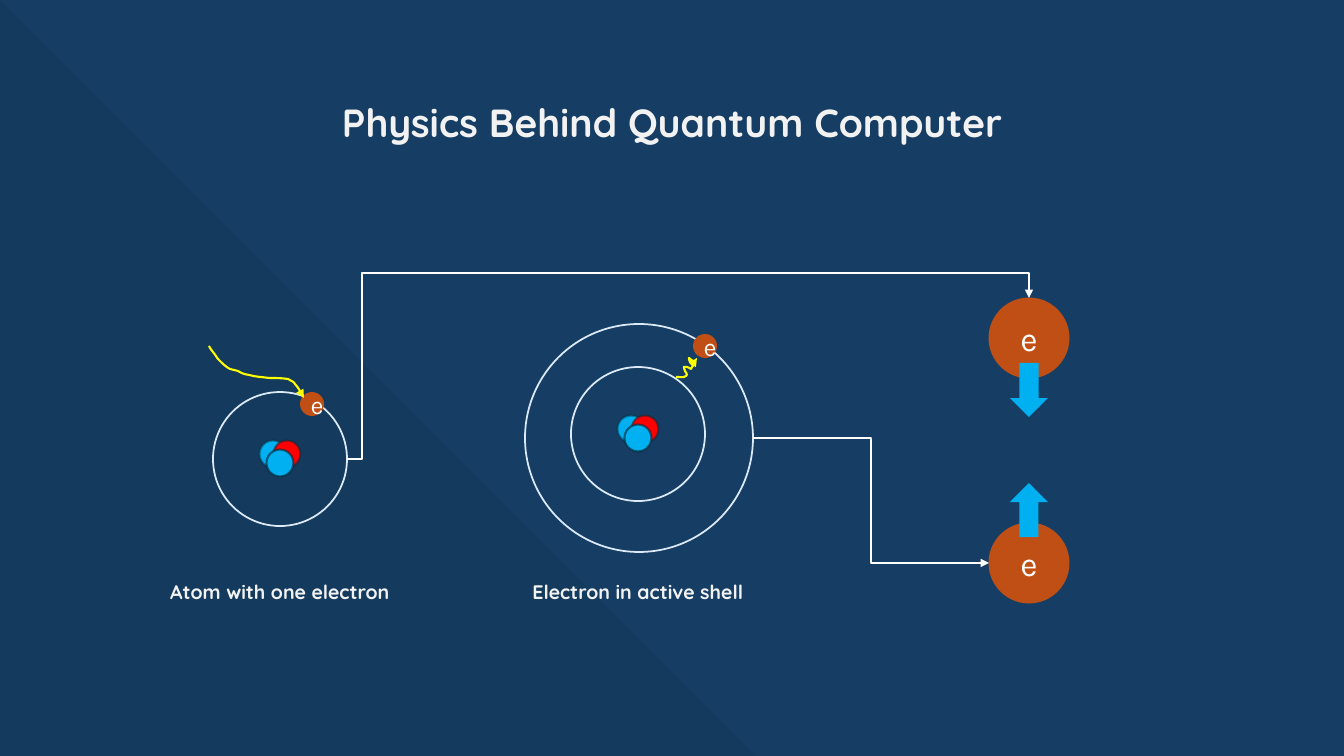
from lxml.etree import SubElement
from pptx import Presentation
from pptx.dml.color import RGBColor
from pptx.enum.shapes import MSO_CONNECTOR, MSO_SHAPE
from pptx.enum.text import MSO_ANCHOR, MSO_AUTO_SIZE, PP_ALIGN
from pptx.oxml.ns import qn
from pptx.util import Pt

W, H = 1344, 756
SCALE = 12192000 / W  # EMU per px

NAVY = RGBColor(0x16, 0x3E, 0x64)
SHADE = RGBColor(0x0B, 0x30, 0x41)
INK = RGBColor(0x09, 0x2A, 0x39)
PALE = RGBColor(0xDC, 0xEA, 0xF7)
OFF_WHITE = RGBColor(0xF2, 0xF2, 0xF2)
WHITE = RGBColor(0xFF, 0xFF, 0xFF)
BLUE = RGBColor(0x00, 0xB0, 0xF0)
RED = RGBColor(0xFF, 0x00, 0x00)
ORANGE = RGBColor(0xC0, 0x4F, 0x15)
YELLOW = RGBColor(0xFF, 0xFF, 0x00)

# Start point, then three points per Bezier segment
PHOTON_PATH = [
    (209, 346), (211, 350), (214, 353), (216, 356), (217, 358), (218, 359), (219, 360),
    (222, 363), (226, 367), (230, 369), (233, 370), (235, 370), (238, 371),
    (243, 374), (244, 374), (249, 375), (256, 377), (262, 377), (269, 378),
    (275, 378), (281, 378), (288, 379), (290, 381), (294, 381), (295, 384),
    (297, 386), (299, 389), (300, 391), (302, 396), (301, 394), (304, 398)]
JUMP_PATH = [
    (676, 377), (680, 377), (684, 378), (686, 376), (688, 375), (686, 372), (685, 371),
    (685, 369), (683, 367), (684, 367), (687, 366), (691, 369), (691, 369),
    (694, 363), (694, 368), (690, 362), (690, 361), (688, 358), (689, 358),
    (691, 358), (691, 361), (694, 362), (695, 363), (697, 364), (697, 363),
    (697, 363), (697, 358), (697, 358)]


def px(*values):
    return [round(v * SCALE) for v in values]


def set_alpha(shape, part, percent):
    color = shape._element.xpath(part + "/a:solidFill/a:srgbClr")[0]
    SubElement(color, qn("a:alpha")).set("val", str(percent * 1000))


def set_line(shape, color, width):
    shape.line.color.rgb = color
    shape.line.width = Pt(width)


def add_arrowhead(shape):
    ln = shape._element.xpath("./p:spPr/a:ln")[0]
    SubElement(ln, qn("a:tailEnd")).set("type", "triangle")


def write(shape, text, font, size, color, bold=False):
    tf = shape.text_frame
    tf.word_wrap = True
    p = tf.paragraphs[0]
    p.text = text
    p.alignment = PP_ALIGN.CENTER
    p.font.name, p.font.size, p.font.bold = font, Pt(size), bold
    p.font.color.rgb = color
    return tf


def add_filled(shapes, kind, x, y, w, h, color):
    sp = shapes.add_shape(kind, *px(x, y, w, h))
    sp.shadow.inherit = False
    sp.fill.solid()
    sp.fill.fore_color.rgb = color
    sp.line.fill.background()
    return sp


def add_disc(shapes, cx, cy, size, color):
    return add_filled(shapes, MSO_SHAPE.OVAL, cx - size / 2, cy - size / 2, size, size, color)


def add_orbit(shapes, cx, cy, size):
    sp = add_disc(shapes, cx, cy, size, PALE)
    sp.fill.background()
    set_line(sp, PALE, 1.25)


def add_nucleus(shapes, cx, cy):
    for dx, dy, color, alpha in ((-7, -5, BLUE, 43), (7, -5, RED, 50), (0, 4, BLUE, 64)):
        sp = add_disc(shapes, cx + dx, cy + dy, 27, color)
        set_line(sp, INK, 1.5)
        set_alpha(sp, "./p:spPr/a:ln", alpha)


def add_electron(shapes, cx, cy, size, font_size):
    sp = add_disc(shapes, cx, cy, size, ORANGE)
    tf = write(sp, "e", "Karla", font_size, WHITE)
    tf.vertical_anchor = MSO_ANCHOR.MIDDLE


def add_spin(shapes, cx, cy, arrow_cy, rotation):
    add_electron(shapes, cx, cy, 81, 24)
    arrow = add_filled(shapes, MSO_SHAPE.RIGHT_ARROW, cx - 27, arrow_cy - 19, 54, 38, BLUE)
    arrow.rotation = rotation


def add_curve(shapes, points):
    builder = shapes.build_freeform(*points[0], scale=SCALE)
    builder.add_line_segments(points[1:], close=False)
    sp = builder.convert_to_shape()
    sp.shadow.inherit = False
    sp.fill.background()
    set_line(sp, YELLOW, 1.5)
    add_arrowhead(sp)
    # Merge each three straight segments into one Bezier segment
    path = sp._element.xpath(".//a:path")[0]
    segments = path.findall(qn("a:lnTo"))
    for i in range(0, len(segments), 3):
        bezier = SubElement(path, qn("a:cubicBezTo"))
        for segment in segments[i:i + 3]:
            bezier.append(segment[0])
            path.remove(segment)


def add_elbow(shapes, start, end, preset, adjustments):
    cxn = shapes.add_connector(MSO_CONNECTOR.ELBOW, *px(*start, *end))
    set_line(cxn, WHITE, 1.5)
    add_arrowhead(cxn)
    SubElement(cxn._element.spPr, qn("a:effectLst"))
    geometry = cxn._element.xpath(".//a:prstGeom")[0]
    geometry.set("prst", preset)
    guides = geometry.find(qn("a:avLst"))
    for i, value in enumerate(adjustments, 1):
        guide = SubElement(guides, qn("a:gd"))
        guide.set("name", f"adj{i}")
        guide.set("fmla", f"val {value}")


def add_caption(shapes, cx, text):
    box = shapes.add_textbox(*px(cx - 129, 575, 258, 34))
    tf = write(box, text, "Quicksand", 14, OFF_WHITE, bold=True)
    tf.auto_size = MSO_AUTO_SIZE.SHAPE_TO_FIT_TEXT


def main():
    prs = Presentation()
    prs.slide_width, prs.slide_height = px(W, H)
    s = prs.slides.add_slide(prs.slide_layouts[5])
    shapes = s.shapes

    # Background with shaded corner
    s.background.fill.solid()
    s.background.fill.fore_color.rgb = NAVY
    corner = add_filled(shapes, MSO_SHAPE.RIGHT_TRIANGLE, 0, 0, H, H, SHADE)
    set_alpha(corner, "./p:spPr", 15)

    # Title
    title = shapes.title
    title.left, title.top, title.width, title.height = px(204, 93, 936, 58)
    tf = write(title, "Physics Behind Quantum Computer", "Quicksand", 28, OFF_WHITE, bold=True)
    tf.vertical_anchor = MSO_ANCHOR.TOP
    tf.auto_size = MSO_AUTO_SIZE.SHAPE_TO_FIT_TEXT

    # Atom with one electron
    add_orbit(shapes, 280, 459, 134)
    add_nucleus(shapes.add_group_shape().shapes, 280, 459)
    add_electron(shapes, 312, 404, 24, 18)
    add_caption(shapes, 280, "Atom with one electron")
    add_curve(shapes, PHOTON_PATH)

    # Atom with its electron in the active shell
    atom = shapes.add_group_shape().shapes
    add_orbit(atom, 638, 434, 134)
    add_nucleus(atom, 638, 434)
    add_orbit(atom, 639, 438, 228)
    add_electron(atom, 705, 346, 24, 18)
    add_curve(atom, JUMP_PATH)
    add_caption(shapes, 638, "Electron in active shell")

    # Spin down and spin up
    add_spin(shapes.add_group_shape().shapes, 1029, 338, 390, 90)
    add_elbow(shapes, (347, 459), (1029, 298), "bentConnector4", (2200, 115700))
    add_spin(shapes.add_group_shape().shapes, 1029, 563, 510, 270)
    add_elbow(shapes, (753, 438), (989, 563), "bentConnector3", (50000,))

    prs.save("out.pptx")


if __name__ == "__main__":
    main()
